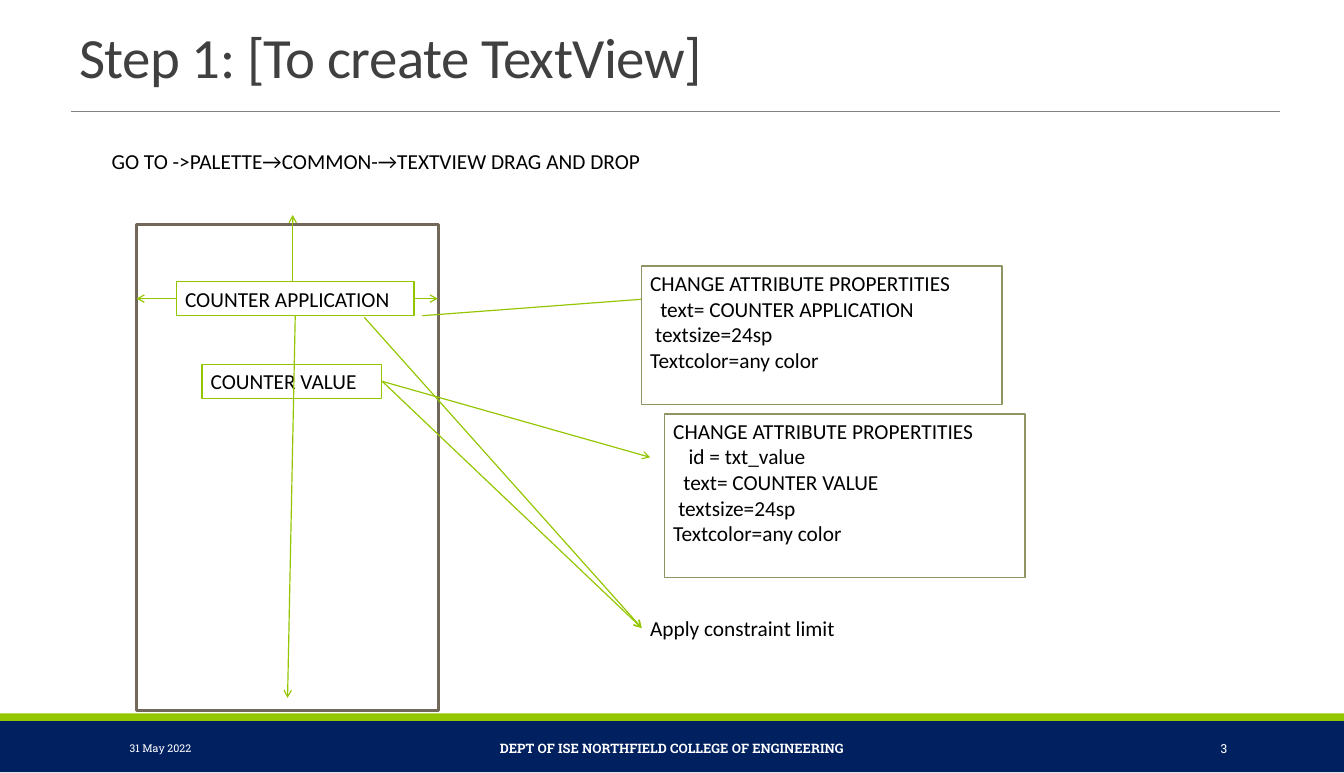
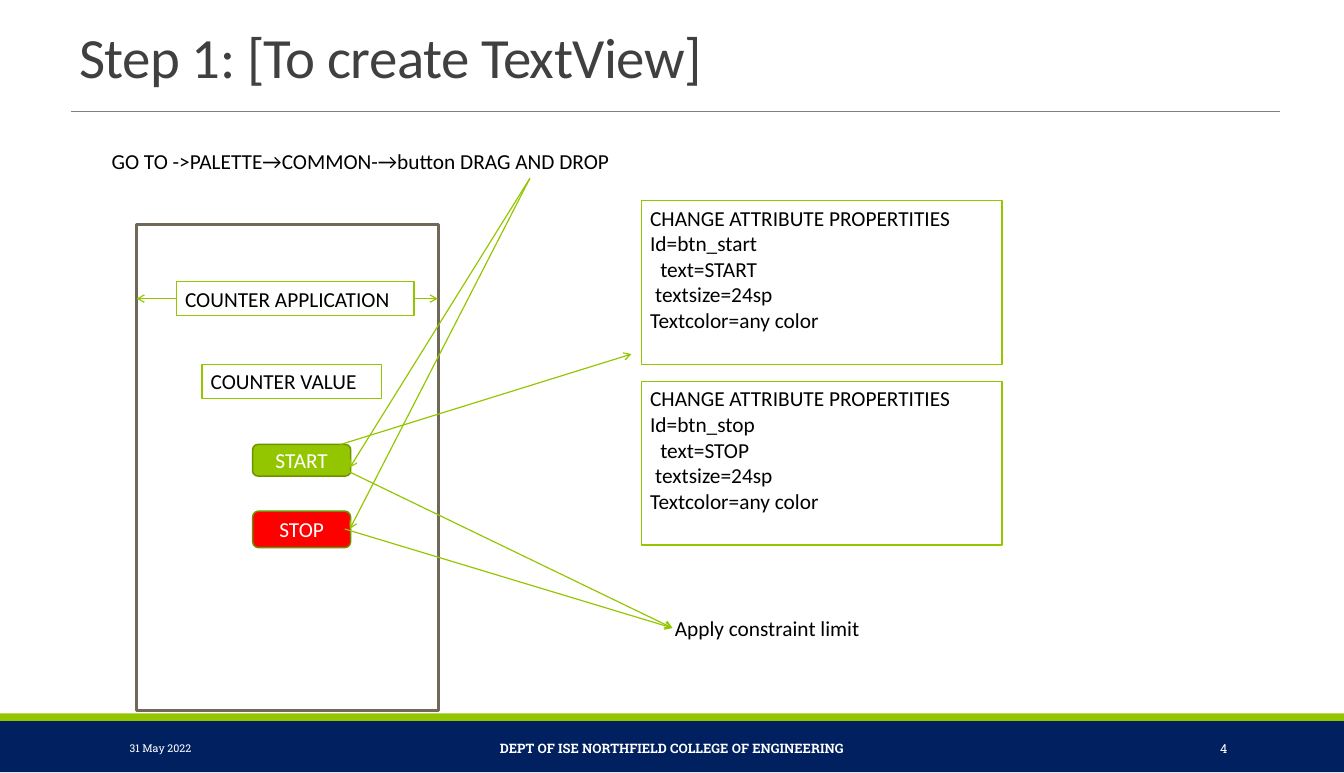
import dataclasses
import typing

import lxml.etree
import pptx
import pptx.dml.color
import pptx.enum.shapes
import pptx.enum.text
import pptx.oxml.ns
import pptx.util

Inches = pptx.util.Inches
Pt = pptx.util.Pt
ALIGN = pptx.enum.text.PP_ALIGN
ANCHOR = pptx.enum.text.MSO_ANCHOR
PRESET = pptx.enum.shapes.MSO_SHAPE

COLORS = {
    "white": "FFFFFF", "black": "000000", "title": "404040", "rule": "808080",
    "navy": "002060", "green": "94C600", "dark green": "6D9200",
    "red": "FF0000", "phone": "71685A", "olive": "909465",
}
FONTS = {
    "title": {"name": "Calibri", "size": Pt(48)},
    "body": {"name": "Calibri", "size": Pt(18)},
    "date": {"name": "Roboto Slab", "size": Pt(9)},
    "department": {"name": "Roboto Slab", "size": Pt(11), "bold": True},
    "number": {"name": "Roboto Slab", "size": Pt(10.5)},
}
SPACE_WIDTH = 0.06
PHONE_LEFT, PHONE_RIGHT = 1.6, 5.13
APP_LEFT, APP_RIGHT, APP_MIDDLE = 2.07, 4.85, 3.5
CALLOUT_WIDTH = 4.22


def color(key):
    """Return the named colour as an RGB value."""
    return pptx.dml.color.RGBColor.from_string(COLORS[key])


def lengths(*values):
    """Convert inches to slide lengths."""
    return [Inches(value) for value in values]


@dataclasses.dataclass
class Deck:
    """Holds the shared style and the slide being drawn."""

    show: typing.Any
    slide: typing.Any = None

    def start(self, title):
        """Add a slide with its title, rule, bands and footer."""
        self.slide = self.show.slides.add_slide(self.show.slide_layouts[6])
        self.box((0, 8.45, 15.75, 0.6), "navy")
        self.box((0, 8.36, 15.75, 0.09), "green")
        self.line((0.83, 1.31), (15, 1.31), "rule", 0.5, arrow=False)
        footers = [
            (1.42, 3.19, "31 May 2022", "date", ALIGN.LEFT),
            (4.76, 6.23, "DEPT OF ISE NORTHFIELD COLLEGE OF ENGINEERING",
             "department", ALIGN.CENTER),
            (12.79, 1.69, str(len(self.show.slides) + 2), "number", ALIGN.RIGHT),
        ]
        for left, width, words, font, align in footers:
            self.text((left, 8.53, width, 0.48), words, font, "white", align,
                      ANCHOR.MIDDLE)
        heading = self.text((0.83, 0.15, 12.49, 0.95), title, "title", "title",
                            anchor=ANCHOR.BOTTOM).paragraphs[0]
        heading.line_spacing = 0.85
        heading.runs[0].font._element.set("spc", "-50")

    def put_lines(self, shape, lines, font="body", ink="black",
                  align=ALIGN.LEFT, anchor=ANCHOR.TOP):
        """Fill a shape with lines given as text or (indent, text)."""
        frame = shape.text_frame
        settings = {"word_wrap": True, "vertical_anchor": anchor,
                    "auto_size": pptx.enum.text.MSO_AUTO_SIZE.NONE}
        for name, value in settings.items():
            setattr(frame, name, value)
        for index, line in enumerate([lines] if isinstance(lines, str) else lines):
            indent, words = (0, line) if isinstance(line, str) else line
            paragraph = frame.add_paragraph() if index else frame.paragraphs[0]
            paragraph.alignment = align
            if indent:
                margin = Inches(indent * SPACE_WIDTH)
                paragraph._p.get_or_add_pPr().set("marL", str(margin))
            run = paragraph.add_run()
            run.text = words
            for name, value in FONTS[font].items():
                setattr(run.font, name, value)
            run.font.color.rgb = color(ink)
        return frame

    def text(self, place, lines, *style, **options):
        """Add a plain text box."""
        holder = self.slide.shapes.add_textbox(*lengths(*place))
        return self.put_lines(holder, lines, *style, **options)

    def box(self, place, fill, outline=None, weight=1.25, preset=PRESET.RECTANGLE):
        """Add a filled shape with an optional outline."""
        shape = self.slide.shapes.add_shape(preset, *lengths(*place))
        shape.shadow.inherit = False
        shape.fill.solid()
        shape.fill.fore_color.rgb = color(fill)
        if outline:
            shape.line.color.rgb = color(outline)
            shape.line.width = Pt(weight)
        else:
            shape.line.fill.background()
        return shape

    def label(self, place, lines, outline="green"):
        """Add a white outlined box with text."""
        self.put_lines(self.box(place, "white", outline), lines)

    def button(self, top, height, words, fill):
        """Add a rounded app button."""
        shape = self.box((2.96, top, 1.15, height), fill, "dark green",
                         preset=PRESET.ROUNDED_RECTANGLE)
        self.put_lines(shape, words, ink="white", align=ALIGN.CENTER,
                       anchor=ANCHOR.MIDDLE)

    def line(self, begin, end, ink="green", weight=1, arrow=True):
        """Add a straight line, by default with an arrowhead at its end."""
        connector = self.slide.shapes.add_connector(
            pptx.enum.shapes.MSO_CONNECTOR.STRAIGHT, *lengths(*begin, *end))
        connector.line.color.rgb = color(ink)
        connector.line.width = Pt(weight)
        qn = pptx.oxml.ns.qn
        properties = connector._element.spPr
        if arrow:
            lxml.etree.SubElement(properties.find(qn("a:ln")), qn("a:tailEnd"),
                                  type="arrow")
        lxml.etree.SubElement(properties, qn("a:effectLst"))

    def phone(self, widget):
        """Draw the drag instruction and the phone with its two text views."""
        self.text((1.21, 1.69, 8.43, 0.4),
                  f"GO TO ->PALETTE→COMMON-→{widget} DRAG AND DROP")
        self.box((PHONE_LEFT, 2.63, 3.54, 5.7), "white", "phone", 3)
        self.label((APP_LEFT, 3.3, APP_RIGHT - APP_LEFT, 0.4),
                   "COUNTER APPLICATION")
        self.label((2.37, 4.27, 2.1, 0.4), "COUNTER VALUE")
        for inner, edge in ((APP_LEFT, PHONE_LEFT), (APP_RIGHT, PHONE_RIGHT)):
            self.line((inner, APP_MIDDLE), (edge, APP_MIDDLE))

    def callout(self, left, top, height, attributes, outline="green"):
        """Add a box listing the attributes to change."""
        self.label((left, top, CALLOUT_WIDTH, height),
                   ["CHANGE ATTRIBUTE PROPERTITIES", *attributes,
                    (1, "textsize=24sp"), "Textcolor=any color"], outline)

    def constraint(self, left, target, origins):
        """Add the constraint note and the arrows that reach it."""
        self.text((left, 7.16, 3.66, 0.4), "Apply constraint limit")
        for origin in origins:
            self.line(origin, target)


def text_view_slide(deck):
    """Build the slide on text views."""
    deck.start("Step 1: [To create TextView]")
    deck.phone("TEXTVIEW")
    deck.line((4.95, 3.7), (7.62, 3.5))
    deck.callout(7.52, 3.12, 1.62, [(2, "text= COUNTER APPLICATION")], "olive")
    value_edge = (4.48, 4.47)
    deck.line(value_edge, (7.62, 5.36))
    deck.constraint(7.52, (7.52, 7.36), [(4.27, 3.72), value_edge])
    deck.line((3.43, 3.3), (3.43, 2.52))
    deck.line((3.46, 3.7), (3.37, 8.18))
    deck.callout(7.79, 4.85, 1.92,
                 [(3, "id = txt_value"), (2, "text= COUNTER VALUE")], "olive")


def button_slide(deck):
    """Build the slide on buttons."""
    deck.start("Step 1: [To create TextView]")
    deck.phone("button")
    deck.button(5.21, 0.37, "START", "green")
    deck.button(5.99, 0.43, "STOP", "red")
    for button_edge in ((4.1, 5.48), (4.1, 6.2)):
        deck.line((6.21, 2.09), button_edge)
    deck.line((3.99, 5.21), (7.4, 4.15))
    deck.constraint(7.81, (7.88, 7.36), [(3.99, 5.48), (4.04, 6.2)])
    for top, action in ((2.35, "start"), (4.47, "stop")):
        deck.callout(7.52, top, 1.92,
                     [f"Id=btn_{action}", (2, f"text={action.upper()}")])


def main():
    """Build and save the presentation."""
    show = pptx.Presentation()
    show.slide_width, show.slide_height = lengths(15.75, 9.06)
    deck = Deck(show)
    text_view_slide(deck)
    button_slide(deck)
    show.save("out.pptx")


main()
